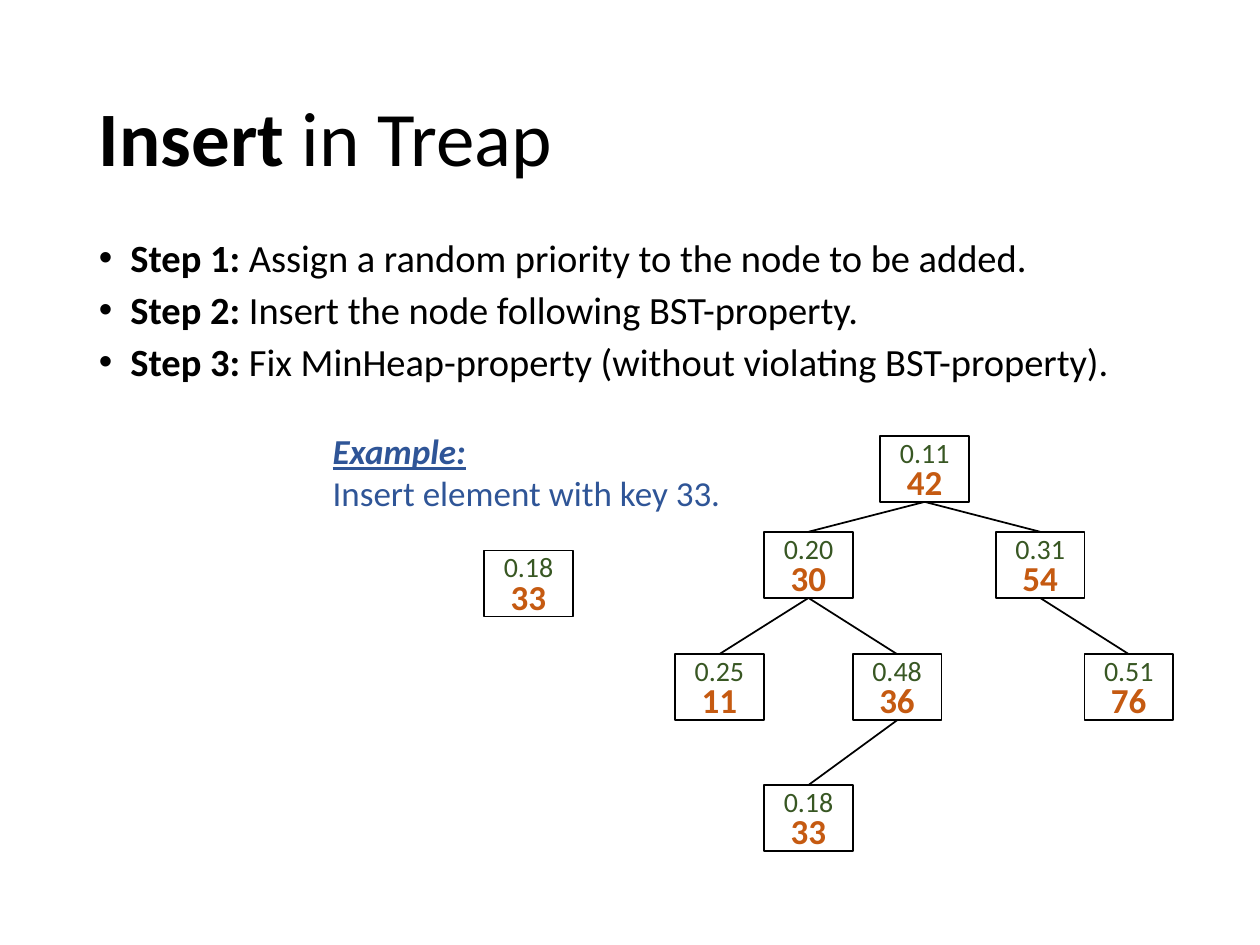
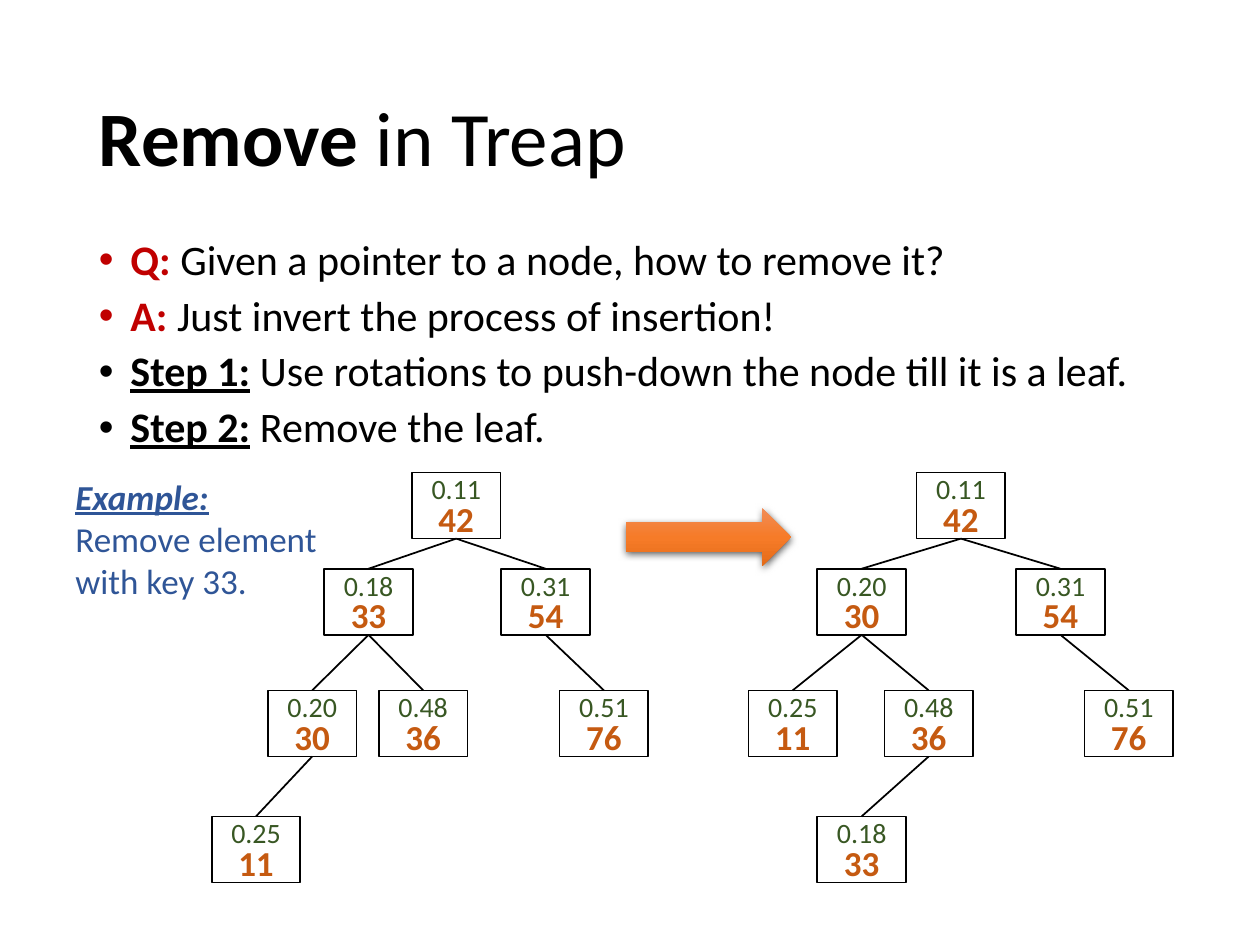
"""Build two slides on inserting into and removing from a treap."""
import pptx
import pptx.dml.color
import pptx.enum.shapes
import pptx.enum.text
import pptx.oxml
import pptx.oxml.ns
import pptx.util

Pt = pptx.util.Pt
SHAPE = pptx.enum.shapes.MSO_SHAPE
ANCHOR = pptx.enum.text.MSO_ANCHOR
ALIGN = pptx.enum.text.PP_ALIGN

COLORS = {
    "ink": "000000", "alert": "C00000", "example": "2F5597",
    "priority": "385723", "key": "C55A11",
    "arrow_top": "F18C57", "arrow_mid": "F67B28", "arrow_end": "E56C19",
}
STYLES = {
    "plain": ("ink", {}),
    "bold": ("ink", {"bold": True}),
    "underlined": ("ink", {"bold": True, "underline": True}),
    "alert": ("alert", {"bold": True}),
    "example_head": ("example", {"bold": True, "italic": True, "underline": True}),
    "example": ("example", {}),
    "priority": ("priority", {}),
    "key": ("key", {"bold": True}),
}
PRIORITIES = {42: "0.11", 33: "0.18", 30: "0.20", 11: "0.25",
              54: "0.31", 36: "0.48", 76: "0.51"}
NODE_WIDTH, NODE_HEIGHT = 50.7, 37.8

# Trees list (key, parent key, centre x), each parent before its children.
SLIDES = [
    {
        "operation": "Insert",
        "bullet_size": 22,
        "body_height": 103,
        "bullets": [
            ("Step 1:", "bold", " Assign a random priority to the node to be added."),
            ("Step 2:", "bold", " Insert the node following BST-property."),
            ("Step 3:", "bold", " Fix MinHeap-property (without violating BST-property)."),
        ],
        "example": ["Insert element with key 33."],
        "example_box": (183, 242, 238, 55.7),
        "level_tops": [249, 303.9, 373.8, 448.6],
        "trees": [
            [(42, None, 528.4), (30, 42, 462), (54, 42, 594.4), (11, 30, 411.1),
             (36, 30, 512.6), (76, 54, 645), (33, 36, 462)],
        ],
        "new_node": (33, 302, 314.5),
    },
    {
        "operation": "Remove",
        "bullet_size": 24,
        "body_height": 137,
        "bullets": [
            ("Q:", "alert", " Given a pointer to a node, how to remove it?"),
            ("A:", "alert", " Just invert the process of insertion!"),
            ("Step 1:", "underlined", " Use rotations to push-down the node till it is a leaf."),
            ("Step 2:", "underlined", " Remove the leaf."),
        ],
        "example": ["Remove element", "with key 33."],
        "example_box": (36, 268, 158.5, 80),
        "level_tops": [270, 325, 394.5, 466.5],
        "trees": [
            [(42, None, 260.7), (33, 42, 210.6), (54, 42, 311.8), (30, 33, 178.4),
             (36, 33, 241.8), (76, 54, 345.1), (11, 30, 146.3)],
            [(42, None, 549.1), (30, 42, 492.4), (54, 42, 606), (11, 30, 453),
             (36, 30, 530.7), (76, 54, 645), (33, 36, 492.4)],
        ],
        "arrow": (357.8, 290.3, 94.3, 33.1),
    },
]


def color(name):
    return pptx.dml.color.RGBColor.from_string(COLORS[name])


def fill_paragraph(paragraph, runs, size, **layout):
    for attribute, value in layout.items():
        setattr(paragraph, attribute, value)
    for text, style in runs:
        run = paragraph.add_run()
        run.text = text
        color_name, flags = STYLES[style]
        for attribute, value in {"name": "Calibri", "size": Pt(size), **flags}.items():
            setattr(run.font, attribute, value)
        run.font.color.rgb = color(color_name)


def fill_frame(frame, paragraphs, **layout):
    for index, (runs, size) in enumerate(paragraphs):
        paragraph = frame.add_paragraph() if index else frame.paragraphs[0]
        fill_paragraph(paragraph, runs, size, **layout)


def add_text(slide, box, paragraphs, wrap=True, anchor=ANCHOR.TOP, **layout):
    frame = slide.shapes.add_textbox(*map(Pt, box)).text_frame
    frame.word_wrap, frame.vertical_anchor = wrap, anchor
    fill_frame(frame, paragraphs, **layout)
    return frame


def add_bullets(slide, content):
    lines = [([(label, style), (text, "plain")], content["bullet_size"])
             for label, style, text in content["bullets"]]
    frame = add_text(slide, (49.5, 133, 621, content["body_height"]), lines,
                     line_spacing=0.9, space_before=Pt(6))
    for paragraph in frame.paragraphs:
        properties = paragraph._p.get_or_add_pPr()
        properties.set("marL", str(Pt(18)))
        properties.set("indent", str(-Pt(18)))
        properties.append(pptx.oxml.parse_xml(
            f'<a:buFont {pptx.oxml.ns.nsdecls("a")} typeface="Arial"/>'))
        properties.append(pptx.oxml.parse_xml(
            f'<a:buChar {pptx.oxml.ns.nsdecls("a")} char="•"/>'))


def add_node(slide, key, center, top):
    box = (center - NODE_WIDTH / 2, top, NODE_WIDTH, NODE_HEIGHT)
    node = slide.shapes.add_shape(SHAPE.RECTANGLE, *map(Pt, box))
    node.shadow.inherit = False
    node.fill.background()
    node.line.color.rgb, node.line.width = color("ink"), Pt(1)
    frame = node.text_frame
    frame.vertical_anchor, frame.margin_bottom = ANCHOR.MIDDLE, 0
    fill_frame(frame, [([(PRIORITIES[key], "priority")], 16), ([(str(key), "key")], 20)],
               alignment=ALIGN.CENTER, line_spacing=0.8)
    return node


def add_edge(slide, parent, child):
    edge = slide.shapes.add_connector(
        pptx.enum.shapes.MSO_CONNECTOR.STRAIGHT, 0, 0, 0, 0)
    edge.begin_connect(parent, 2)
    edge.end_connect(child, 0)
    edge.line.color.rgb, edge.line.width = color("ink"), Pt(1)
    edge._element.spPr.append(pptx.oxml.parse_xml(
        f'<a:effectLst {pptx.oxml.ns.nsdecls("a")}/>'))


def add_tree(slide, tree, level_tops):
    nodes, depths = {}, {None: -1}
    for key, parent, center in tree:
        depths[key] = depths[parent] + 1
        nodes[key] = add_node(slide, key, center, level_tops[depths[key]])
        if parent is not None:
            add_edge(slide, nodes[parent], nodes[key])


def add_arrow(slide, box):
    arrow = slide.shapes.add_shape(SHAPE.RIGHT_ARROW, *map(Pt, box))
    arrow.line.fill.background()
    outline = arrow._element.spPr.find(pptx.oxml.ns.qn("a:ln"))
    namespace = pptx.oxml.ns.nsdecls("a")
    stops = "".join(
        f'<a:gs pos="{position}"><a:srgbClr val="{COLORS[name]}"/></a:gs>'
        for position, name in [(0, "arrow_top"), (50000, "arrow_mid"), (100000, "arrow_end")])
    outline.addprevious(pptx.oxml.parse_xml(
        f'<a:gradFill {namespace} rotWithShape="1"><a:gsLst>{stops}</a:gsLst>'
        '<a:lin ang="5400000" scaled="0"/></a:gradFill>'))
    outline.addnext(pptx.oxml.parse_xml(
        f'<a:effectLst {namespace}><a:outerShdw blurRad="{Pt(4.5)}" dist="{Pt(1.5)}" '
        f'dir="5400000" algn="ctr" rotWithShape="0"><a:srgbClr val="{COLORS["ink"]}">'
        '<a:alpha val="63000"/></a:srgbClr></a:outerShdw></a:effectLst>'))


def build_slide(deck, content):
    slide = deck.slides.add_slide(deck.slide_layouts[6])
    add_text(slide, (49.5, 28.8, 621, 104.4),
             [([(content["operation"], "bold"), (" in Treap", "plain")], 44)],
             anchor=ANCHOR.MIDDLE, line_spacing=0.9)
    add_bullets(slide, content)
    add_text(slide, content["example_box"],
             [([("Example:", "example_head")], 20)]
             + [([(line, "example")], 20) for line in content["example"]], wrap=False)
    for tree in content["trees"]:
        add_tree(slide, tree, content["level_tops"])
    if "new_node" in content:
        add_node(slide, *content["new_node"])
    if "arrow" in content:
        add_arrow(slide, content["arrow"])


def main():
    deck = pptx.Presentation()
    deck.slide_width, deck.slide_height = Pt(720), Pt(540)
    for content in SLIDES:
        build_slide(deck, content)
    deck.save("out.pptx")


if __name__ == "__main__":
    main()
